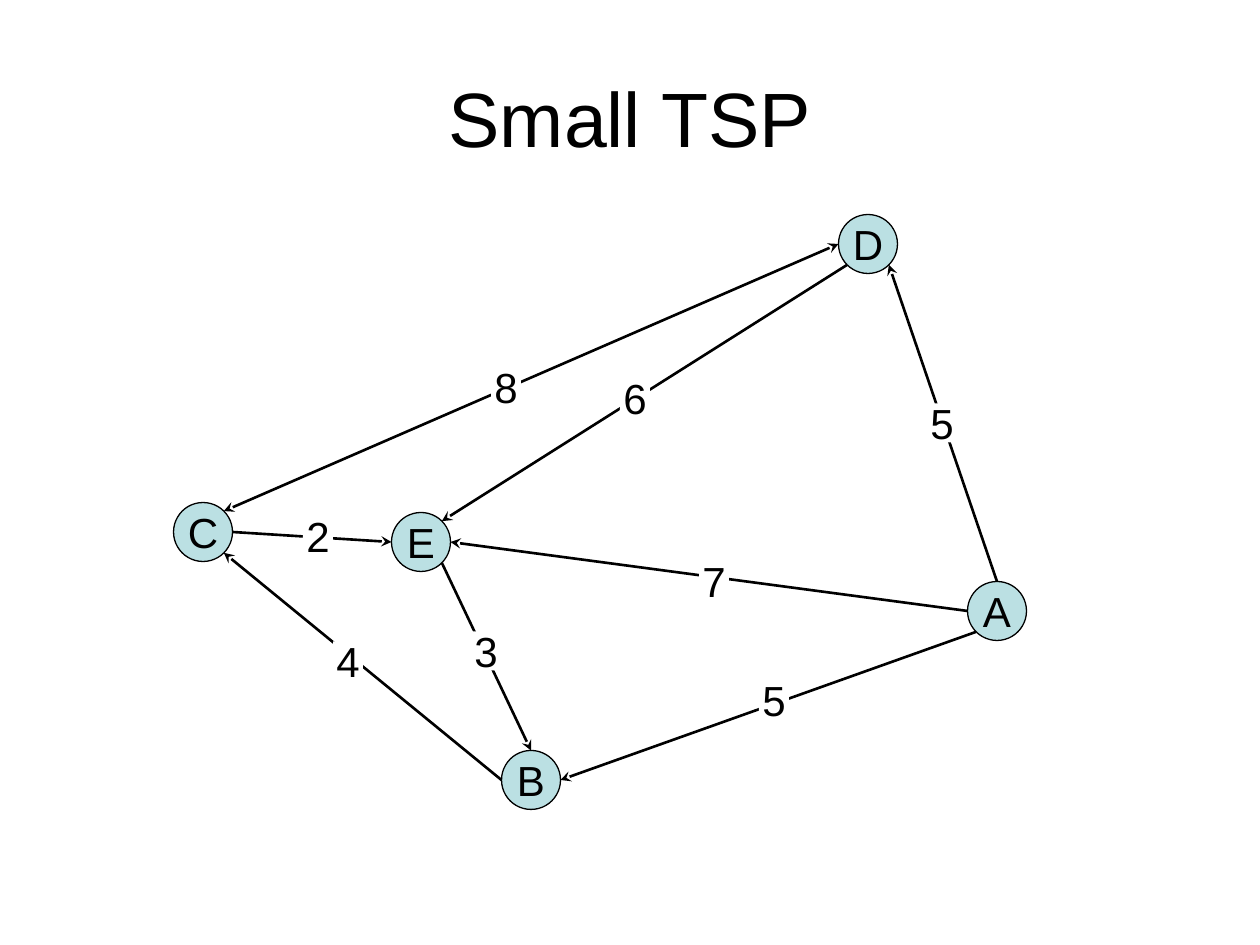
"""Build a slide with a small travelling salesman graph of five cities."""
import math

import pptx
import pptx.dml.color
import pptx.enum.shapes
import pptx.enum.text
import pptx.oxml
import pptx.oxml.ns
import pptx.util

SCALE = 914400 / 126
SLIDE_SIZE = (1260, 945)
TITLE = "Small TSP"
TITLE_BOX = (63, 38, 1134, 158)
FONT = "Arial"
BLACK, WHITE, CITY_FILL = "000000", "FFFFFF", "BBE0E3"

CITY_SIZE = 59
CITIES = {
    "A": (997, 611),
    "B": (531, 780),
    "C": (203, 532),
    "D": (868, 244),
    "E": (421, 542),
}
ANGLES = {"E": 0, "SE": 45, "S": 90, "SW": 135, "W": 180, "NW": 225, "N": 270, "NE": 315}

# target city and side, source city and side, two-way
ROADS = [
    ("C", "NE", "D", "W", True),
    ("C", "SE", "B", "W", False),
    ("B", "N", "E", "SE", False),
    ("E", "W", "C", "E", False),
    ("E", "E", "A", "W", False),
    ("E", "NE", "D", "SW", False),
    ("D", "SE", "A", "N", False),
    ("B", "E", "A", "SW", False),
]

COST_WIDTH, COST_HEIGHT, TALL_COST_HEIGHT = 30, 39, 49
COSTS = [
    ("8", 506, 387, TALL_COST_HEIGHT),
    ("4", 348, 661, COST_HEIGHT),
    ("3", 486, 651, COST_HEIGHT),
    ("6", 635, 398, TALL_COST_HEIGHT),
    ("5", 942, 423, COST_HEIGHT),
    ("7", 714, 581, COST_HEIGHT),
    ("5", 774, 700, COST_HEIGHT),
    ("2", 318, 536, TALL_COST_HEIGHT),
]


def px(length):
    return pptx.util.Emu(round(length * SCALE))


def colour(value):
    return pptx.dml.color.RGBColor.from_string(value)


def write(frame, text, size, wrap):
    frame.word_wrap = wrap
    frame.vertical_anchor = pptx.enum.text.MSO_ANCHOR.MIDDLE
    paragraph = frame.paragraphs[0]
    paragraph.alignment = pptx.enum.text.PP_ALIGN.CENTER
    run = paragraph.add_run()
    run.text = text
    run.font.name = FONT
    run.font.size = pptx.util.Pt(size)
    run.font.color.rgb = colour(BLACK)


def add_label(slide, kind, text, centre, width, height, fill):
    x, y = centre
    box = (x - width / 2, y - height / 2, width, height)
    label = slide.shapes.add_shape(kind, *map(px, box))
    label.shadow.inherit = False
    label.fill.solid()
    label.fill.fore_color.rgb = colour(fill)
    write(label.text_frame, text, 24, False)
    return label


def rim_point(city, side):
    x, y = CITIES[city]
    angle = math.radians(ANGLES[side])
    radius = CITY_SIZE / 2
    return px(x + radius * math.cos(angle)), px(y + radius * math.sin(angle))


def add_road(slide, target, target_side, source, source_side, two_way):
    road = slide.shapes.add_connector(
        pptx.enum.shapes.MSO_CONNECTOR.STRAIGHT,
        *rim_point(target, target_side),
        *rim_point(source, source_side),
    )
    road.line.color.rgb = colour(BLACK)
    road.line.width = pptx.util.Pt(1.5)
    outline = road.line._get_or_add_ln()
    for end in ("headEnd", "tailEnd") if two_way else ("headEnd",):
        arrow = pptx.oxml.parse_xml(f'<a:{end} {pptx.oxml.ns.nsdecls("a")} type="stealth"/>')
        outline.append(arrow)
    no_effects = pptx.oxml.parse_xml(f'<a:effectLst {pptx.oxml.ns.nsdecls("a")}/>')
    road._element.spPr.append(no_effects)


def main():
    deck = pptx.Presentation()
    deck.slide_width, deck.slide_height = map(px, SLIDE_SIZE)
    slide = deck.slides.add_slide(deck.slide_layouts[5])

    title = slide.shapes.title
    title.left, title.top, title.width, title.height = map(px, TITLE_BOX)
    write(title.text_frame, TITLE, 44, True)

    shapes = pptx.enum.shapes.MSO_SHAPE
    for name, centre in CITIES.items():
        city = add_label(slide, shapes.OVAL, name, centre, CITY_SIZE, CITY_SIZE, CITY_FILL)
        city.line.color.rgb = colour(BLACK)
        city.line.width = pptx.util.Pt(0.75)
    for road in ROADS:
        add_road(slide, *road)
    for cost, x, y, height in COSTS:
        label = add_label(slide, shapes.RECTANGLE, cost, (x, y), COST_WIDTH, height, WHITE)
        label.line.fill.background()

    deck.save("out.pptx")


if __name__ == "__main__":
    main()
